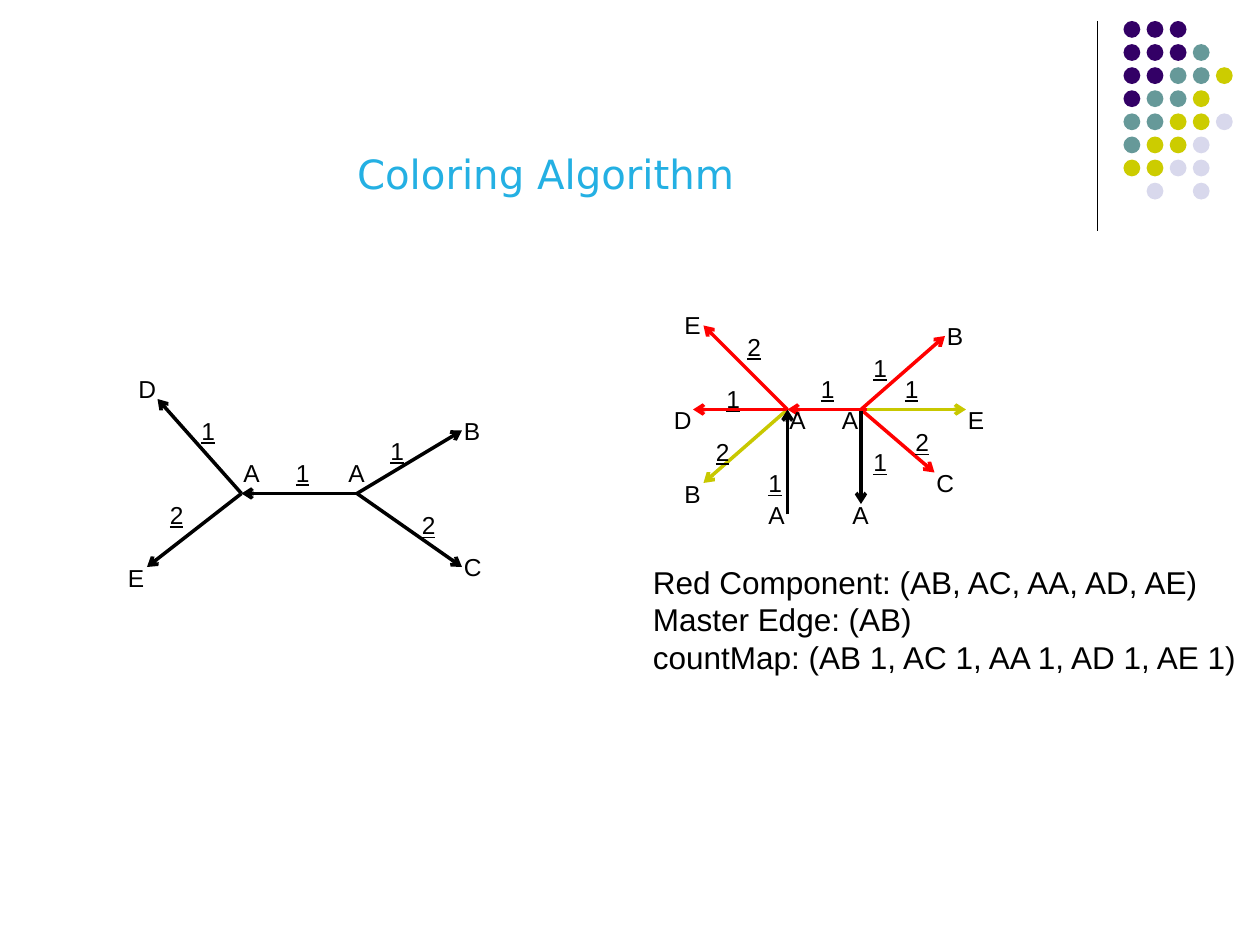
from pptx import Presentation, util as u
from pptx.dml.color import RGBColor
from pptx.enum import shapes, text
from pptx.oxml.ns import qn
from lxml import etree

PX = 7620  # 120 px to the inch
BLACK, RED, GOLD = "000000", "FF0000", "C8C800"


def hue(code):
    return RGBColor.from_string(code)


def put(x, y, w, h, lines, size=14, color=BLACK, font="Arial", under=False):
    box = slide.shapes.add_textbox(x * PX, y * PX, w * PX, h * PX)
    frame = box.text_frame
    frame.word_wrap = True
    frame.auto_size = text.MSO_AUTO_SIZE.SHAPE_TO_FIT_TEXT
    for i, line in enumerate(lines):
        para = frame.add_paragraph() if i else frame.paragraphs[0]
        run = para.add_run()
        run.text = line
        run.font.size = u.Pt(size)
        run.font.name = font
        run.font.color.rgb = hue(color)
        if under:
            run.font.underline = True
    return frame


def draw(x1, y1, x2, y2, color=BLACK, width=2, arrow=True):
    line = slide.shapes.add_connector(
        shapes.MSO_CONNECTOR.STRAIGHT, x1 * PX, y1 * PX, x2 * PX, y2 * PX)
    line.line.color.rgb = hue(color)
    line.line.width = u.Pt(width)
    props = line._element.spPr
    if arrow:
        etree.SubElement(props.find(qn("a:ln")), qn("a:tailEnd"), type="arrow")
    etree.SubElement(props, qn("a:effectLst"))


prs = Presentation()
prs.slide_width, prs.slide_height = 1200 * PX, 900 * PX
slide = prs.slides.add_slide(prs.slide_layouts[6])

# Corner ornament: a rule and a grid of dots
draw(1045, 20, 1045, 220, width=0.75, arrow=False)
inks = {"P": "330066", "T": "669999", "Y": "CCCC00", "L": "D8D8EC"}
dots = ["PPP", "PPPT", "PPTTY", "PTTY", "TTYYL", "TYYL", "YYLL", ".L.L"]
for row, marks in enumerate(dots):
    for col, mark in enumerate(marks):
        if mark == ".":
            continue
        dot = slide.shapes.add_shape(
            shapes.MSO_SHAPE.OVAL, (1070 + 22 * col) * PX,
            (20 + 22 * row) * PX, 16 * PX, 16 * PX)
        dot.shadow.inherit = False
        dot.fill.solid()
        dot.fill.fore_color.rgb = hue(inks[mark])
        dot.line.fill.background()

# Title
title = put(-20, 130, 1080, 70, ["Coloring Algorithm"], 23, "24B0E3", "DejaVu Sans")
title.auto_size = text.MSO_AUTO_SIZE.NONE
title.vertical_anchor = text.MSO_ANCHOR.MIDDLE
title.paragraphs[0].alignment = text.PP_ALIGN.CENTER
title.paragraphs[0].space_before = u.Pt(4.6)

# Edges of the left graph, then of the right graph
edges = [
    (340, 470, 440, 410, BLACK), (340, 470, 440, 540, BLACK),
    (340, 470, 230, 470, BLACK), (230, 470, 150, 380, BLACK),
    (230, 470, 140, 540, BLACK),
    (820, 390, 900, 320, RED), (820, 390, 920, 390, GOLD),
    (750, 390, 670, 460, GOLD), (750, 390, 660, 390, RED),
    (820, 390, 890, 450, RED), (820, 390, 820, 480, BLACK),
    (750, 490, 750, 390, BLACK), (750, 390, 670, 310, RED),
    (826, 390, 750, 390, RED),
]
for edge in edges:
    draw(*edge)

# Node names, and underlined edge weights
tags = [
    ("A", 320, 430), ("B", 430, 390), ("C", 430, 520), ("A", 220, 430),
    ("D", 120, 350), ("E", 110, 530),
    ("1", 360, 409), ("2", 390, 480), ("1", 270, 430), ("1", 180, 390),
    ("2", 150, 470),
    ("A", 790, 380), ("B", 890, 300), ("E", 910, 380), ("C", 880, 440),
    ("A", 740, 380), ("D", 630, 380), ("B", 640, 450), ("A", 800, 470),
    ("A", 720, 470), ("E", 640, 289),
    ("1", 680, 360), ("1", 820, 330), ("1", 850, 350), ("2", 860, 401),
    ("2", 670, 410), ("1", 820, 420), ("1", 720, 440), ("2", 700, 310),
    ("1", 770, 350),
]
for tag, x, y in tags:
    put(x, y, 70, 41, [tag], under=tag.isdigit())

# Result of the coloring
put(610, 530, 590, 121, [
    "Red Component: (AB, AC, AA, AD, AE)",
    "Master Edge: (AB)",
    "countMap: (AB 1, AC 1, AA 1, AD 1, AE 1)",
], 18)

prs.save("out.pptx")
